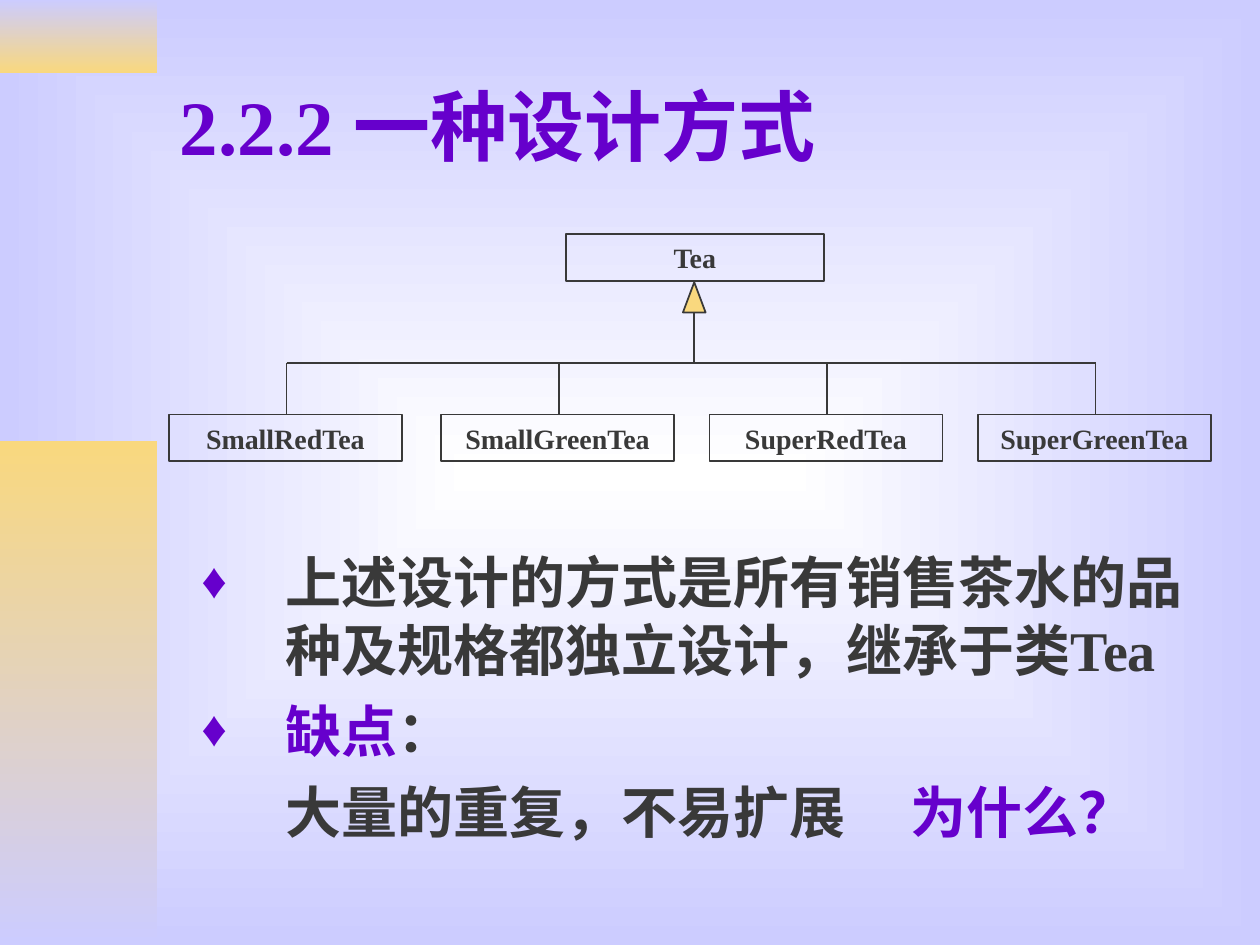
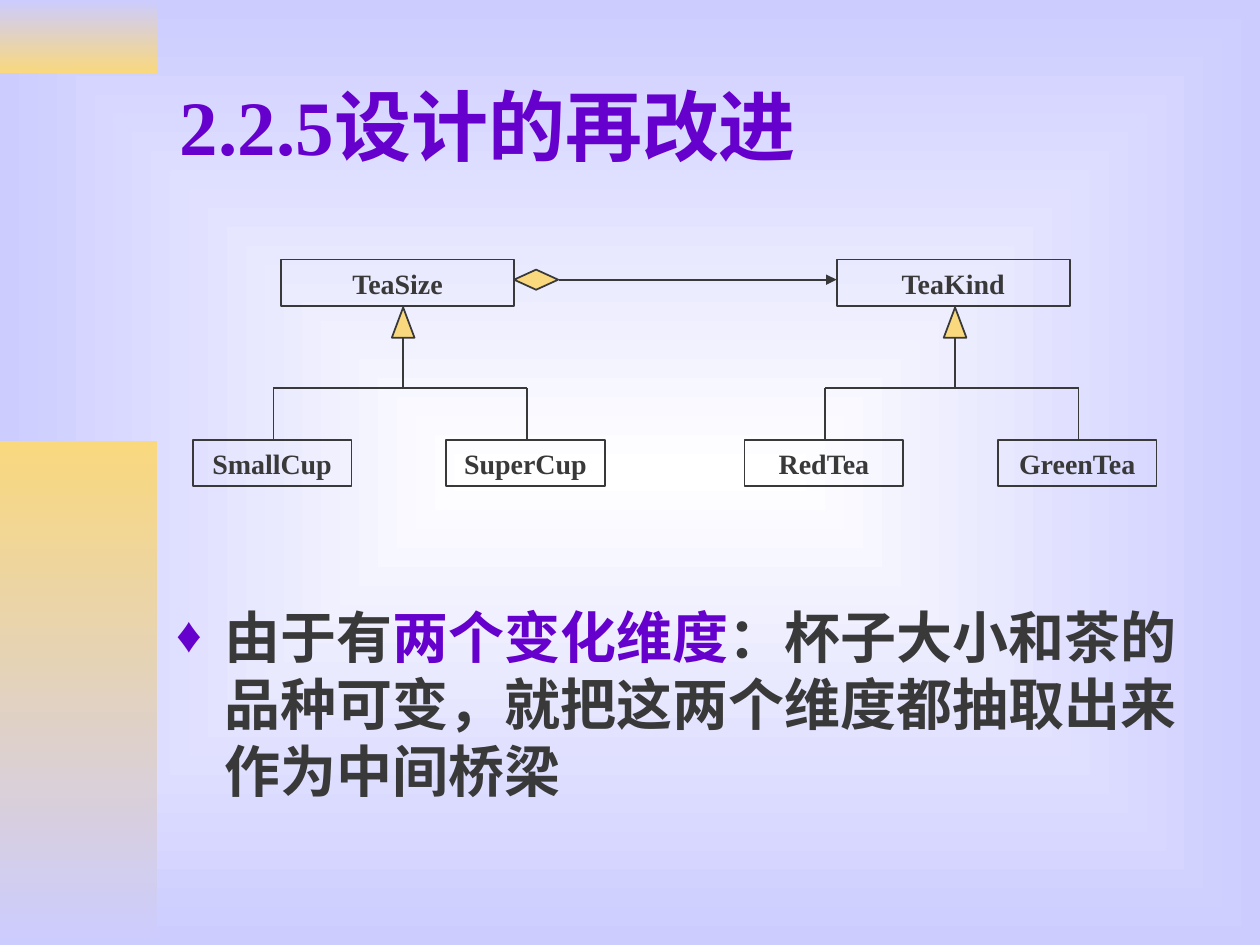
"""Builds two slides on class designs for selling tea."""
from lxml import etree
from pptx import Presentation
from pptx import util as u
from pptx.dml.color import RGBColor
from pptx.enum import lang, shapes, text
from pptx.oxml import ns

PURPLE = RGBColor(0x66, 0x00, 0xCC)
DARK = RGBColor(0x39, 0x39, 0x39)
GOLD = RGBColor(0xF9, 0xD8, 0x7E)
LILAC = RGBColor(0xCC, 0xCC, 0xFF)
WHITE = RGBColor(0xFF, 0xFF, 0xFF)
FONT = "Times New Roman"
BOX_H = 0.37
SHAPE = shapes.MSO_SHAPE


def sub(node, tag, **attrs):
    return etree.SubElement(node, ns.qn(tag), attrs)


def blend(fill, first, last):
    fill.gradient()
    for stop, color in zip(fill.gradient_stops, (first, last)):
        stop.color.rgb = color


def backdrop(master):
    blend(master.background.fill, WHITE, LILAC)
    grad = master.element.xpath("p:cSld/p:bg//a:gradFill")[0]
    grad.remove(grad.find(ns.qn("a:lin")))
    glow = sub(grad, "a:path", path="rect")
    sub(glow, "a:fillToRect", l="50000", t="50000", r="50000", b="50000")


def write(para, words, size=32, color=DARK):
    run = para.add_run()
    run.text = words
    font = run.font
    font.name, font.size, font.bold = FONT, u.Pt(size), True
    font.color.rgb = color
    font.language_id = lang.MSO_LANGUAGE_ID.SIMPLIFIED_CHINESE


def shape(slide, kind, left, top, width, height):
    item = slide.shapes.add_shape(kind, *map(u.Inches, (left, top, width, height)))
    item.shadow.inherit = False
    return item


def band(slide, top, height, first, last):
    item = shape(slide, SHAPE.RECTANGLE, 0, top, 1.25, height)
    blend(item.fill, first, last)
    item.fill.gradient_angle = 270
    item.line.fill.background()


def mark(slide, kind, left, top, width, height):
    item = shape(slide, kind, left, top, width, height)
    item.fill.solid()
    item.fill.fore_color.rgb = GOLD
    outline(item)


def outline(item):
    item.line.color.rgb = DARK
    item.line.width = u.Pt(1)


def line(slide, x1, y1, x2, y2, arrow=False):
    item = slide.shapes.add_connector(
        shapes.MSO_CONNECTOR.STRAIGHT, *map(u.Inches, (x1, y1, x2, y2)))
    outline(item)
    if arrow:
        sub(item.line._get_or_add_ln(), "a:tailEnd", type="triangle")
    sub(item._element.spPr, "a:effectLst")


def box(slide, name, left, top, width):
    item = shape(slide, SHAPE.RECTANGLE, left, top, width, BOX_H)
    item.fill.background()
    outline(item)
    frame = item.text_frame
    frame.word_wrap = False
    frame.vertical_anchor = text.MSO_ANCHOR.MIDDLE
    para = frame.paragraphs[0]
    para.alignment = text.PP_ALIGN.CENTER
    write(para, name, size=16)


def tree(slide, name, left, top, width, stem, kids, kid_w):
    """Draws a parent class, its arrow and its row of (name, left) kids."""
    bar, row = top + 1.02, top + 1.43
    box(slide, name, left, top, width)
    mark(slide, SHAPE.ISOSCELES_TRIANGLE, stem - 0.09, top + 0.38, 0.18, 0.24)
    line(slide, stem, top + 0.62, stem, bar)
    drops = [x + kid_w / 2 + 0.01 for _, x in kids]
    line(slide, drops[0], bar, drops[-1], bar)
    for (kid, x), drop in zip(kids, drops):
        line(slide, drop, bar, drop, row)
        box(slide, kid, x, row, kid_w)


def area(slide, left, top, width, height):
    item = slide.shapes.add_textbox(*map(u.Inches, (left, top, width, height)))
    item.text_frame.word_wrap = True
    return item.text_frame


def point(para, runs, indent=0, tabs=()):
    """Fills a paragraph with (words, color) runs, a bullet or tab stops."""
    para.space_before = u.Pt(8)
    props = para._p.get_or_add_pPr()
    if indent:
        props.set("marL", str(u.Inches(indent)))
        props.set("indent", str(-u.Inches(indent)))
        sub(sub(props, "a:buClr"), "a:srgbClr", val=str(PURPLE))
        sub(props, "a:buSzPct", val="90000")
        sub(props, "a:buFont", typeface=FONT)
        sub(props, "a:buChar", char="♦")
    if tabs:
        stops = sub(props, "a:tabLst")
        for stop in tabs:
            sub(stops, "a:tab", pos=str(u.Inches(stop)), algn="l")
    for words, color in runs:
        write(para, words, color=color)


def page(deck, title):
    slide = deck.slides.add_slide(deck.slide_layouts[6])
    band(slide, 0, 0.58, LILAC, GOLD)
    band(slide, 3.5, 4, GOLD, LILAC)
    frame = area(slide, 1.33, 0.33, 8.5, 1.32)
    frame.vertical_anchor = text.MSO_ANCHOR.MIDDLE
    write(frame.paragraphs[0], title, size=44, color=PURPLE)
    return slide


def single(deck):
    slide = page(deck, "2.2.2 一种设计方式")
    kids = [("SmallRedTea", 1.34), ("SmallGreenTea", 3.5),
            ("SuperRedTea", 5.63), ("SuperGreenTea", 7.76)]
    tree(slide, "Tea", 4.49, 1.86, 2.05, 5.51, kids, 1.85)
    frame = area(slide, 1.5, 4.3, 8.03, 2.46)
    point(frame.paragraphs[0],
          [("上述设计的方式是所有销售茶水的品种及规格都独立设计，继承于类Tea", DARK)],
          indent=0.67)
    point(frame.add_paragraph(), [("缺点", PURPLE), ("：", DARK)], indent=0.67)
    point(frame.add_paragraph(),
          [("\t大量的重复，不易扩展\t", DARK), ("为什么？", PURPLE)],
          tabs=(0.67, 5.63))


def bridge(deck):
    slide = page(deck, "2.2.5设计的再改进")
    tree(slide, "TeaSize", 2.23, 2.06, 1.85, 3.2,
         [("SmallCup", 1.53), ("SuperCup", 3.54)], 1.26)
    tree(slide, "TeaKind", 6.64, 2.06, 1.85, 7.58,
         [("RedTea", 5.91), ("GreenTea", 7.92)], 1.26)
    mark(slide, SHAPE.DIAMOND, 4.08, 2.14, 0.35, 0.16)
    line(slide, 4.44, 2.22, 6.64, 2.22, arrow=True)
    frame = area(slide, 1.3, 4.73, 8.5, 1.74)
    point(frame.paragraphs[0],
          [("由于有", DARK), ("两个变化维度", PURPLE),
           ("：杯子大小和茶的品种可变，就把这两个维度都抽取出来作为中间桥梁", DARK)],
          indent=0.38)


def main():
    deck = Presentation()
    deck.slide_width, deck.slide_height = u.Inches(10), u.Inches(7.5)
    backdrop(deck.slide_master)
    single(deck)
    bridge(deck)
    deck.save("out.pptx")


if __name__ == "__main__":
    main()
